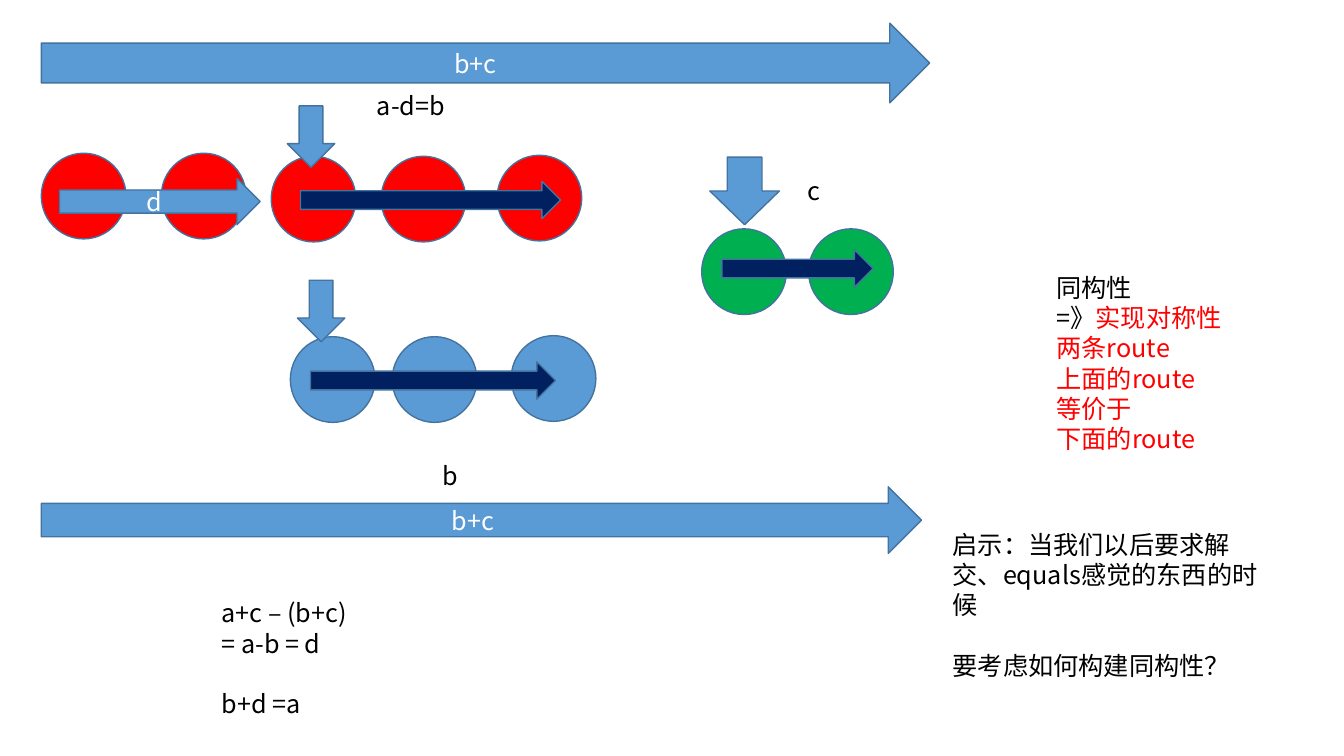
from lxml import etree
from pptx import Presentation
from pptx import util as u
from pptx.dml.color import RGBColor
from pptx.enum import shapes, text
from pptx.oxml.ns import qn

COLORS = {"blue": "5B9BD5", "edge": "43739E", "navy": "002060", "red": "FF0000",
          "green": "00B050", "black": "000000", "white": "FFFFFF"}
FONT = "Noto Sans CJK SC"
RIGHT = shapes.MSO_SHAPE.RIGHT_ARROW
DOWN = shapes.MSO_SHAPE.DOWN_ARROW


def rgb(name):
    """Return the named colour."""
    return RGBColor.from_string(COLORS[name])


def add_text(p, value, color="black", size=18, font=FONT):
    """Append a formatted run to a paragraph."""
    r = p.add_run()
    r.text = value
    r.font.size = u.Pt(size)
    r.font.name = font
    r.font.color.rgb = rgb(color)
    ea = etree.SubElement(r.font._element, qn("a:ea"))
    ea.set("typeface", font)


class Diagram:
    """Draws the elements of the route diagram on one slide."""

    def __init__(self, slide, line_pitch=21.6):
        """Keep the slide and the line pitch in points."""
        self.slide = slide
        self.line_pitch = line_pitch

    def shape(self, kind, box, fill, label=None):
        """Add a filled preset shape with an optional centred label."""
        sp = self.slide.shapes.add_shape(kind, *map(u.Inches, box))
        sp.shadow.inherit = False
        sp.fill.solid()
        sp.fill.fore_color.rgb = rgb(fill)
        sp.line.color.rgb = rgb("edge")
        sp.line.width = u.Pt(1)
        if label:
            tf = sp.text_frame
            tf.vertical_anchor = text.MSO_ANCHOR.MIDDLE
            p = tf.paragraphs[0]
            p.alignment = text.PP_ALIGN.CENTER
            p.line_spacing = u.Pt(self.line_pitch)
            add_text(p, label, color="white")

    def circles(self, fill, spots):
        """Add equal circles at the given left and top positions."""
        for left, top in spots:
            self.shape(shapes.MSO_SHAPE.OVAL, (left, top, 0.84, 0.85), fill)

    def note(self, box, paragraphs, gap_before=None):
        """Add a text box; each paragraph is a list of text and colour pairs."""
        sp = self.slide.shapes.add_textbox(*map(u.Inches, box))
        tf = sp.text_frame
        tf.word_wrap = True
        for i, runs in enumerate(paragraphs):
            p = tf.add_paragraph() if i else tf.paragraphs[0]
            p.line_spacing = u.Pt(self.line_pitch)
            if i == gap_before:
                p.space_before = u.Pt(self.line_pitch)
            for value, color in runs:
                add_text(p, value, color)


def main():
    """Build and save the slide."""
    prs = Presentation()
    prs.slide_width, prs.slide_height = u.Inches(13.33), u.Inches(7.5)
    d = Diagram(prs.slides.add_slide(prs.slide_layouts[6]))

    d.circles("red", [(0.41, 1.52), (1.6, 1.52), (2.69, 1.55), (3.78, 1.55), (4.93, 1.54)])
    d.circles("blue", [(2.88, 3.34), (3.89, 3.34), (5.07, 3.33)])
    d.circles("green", [(6.96, 2.27), (8.02, 2.27)])

    for box, label in [((0.41, 0.23, 8.81, 0.79), "b+c"),
                       ((0.41, 4.83, 8.73, 0.66), "b+c"),
                       ((0.59, 1.77, 1.99, 0.46), "d")]:
        d.shape(RIGHT, box, "blue", label)
    for left, top, width in [(2.98, 1.8, 2.58), (3.08, 3.59, 2.43), (7.16, 2.48, 1.5)]:
        d.shape(RIGHT, (left, top, width, 0.37), "navy")
    for box in [(2.85, 1.05, 0.47, 0.61), (2.95, 2.78, 0.47, 0.61), (7.04, 1.56, 0.69, 0.67)]:
        d.shape(DOWN, box, "blue")

    for box, label in [((3.64, 0.85, 1.05, 0.4), "a-d=b"),
                       ((4.29, 4.52, 0.34, 0.4), "b"),
                       ((7.91, 1.69, 0.32, 0.4), "c")]:
        d.note(box, [[(label, "black")]])

    routes = ["两条route", "上面的route", "等价于", "下面的route"]
    d.note((10.38, 2.65, 1.88, 1.92),
           [[("同构性", "black")], [("=》", "black"), ("实现对称性", "red")]]
           + [[(line, "red")] for line in routes])
    insight = ["启示：当我们以后要求解", "交、equals感觉的东西的时候", "要考虑如何构建同构性？"]
    d.note((9.35, 5.2, 3.43, 1.31), [[(line, "black")] for line in insight], gap_before=2)
    algebra = ["a+c – (b+c)", "= a-b = d", "b+d =a"]
    d.note((2.1, 5.88, 1.52, 1.62), [[(line, "black")] for line in algebra], gap_before=2)

    prs.save("out.pptx")


if __name__ == "__main__":
    main()
